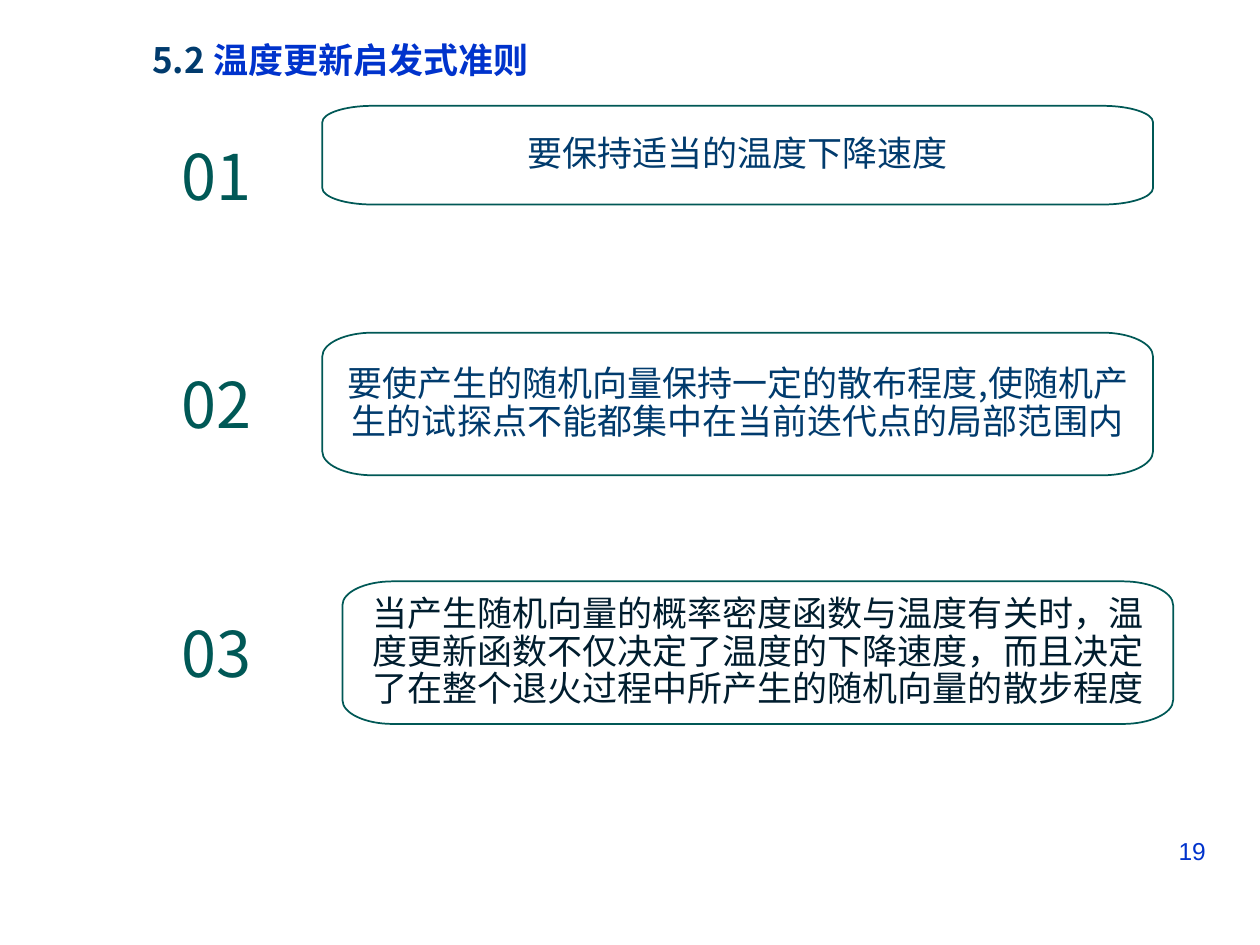
from lxml import etree
from pptx import Presentation
from pptx.dml.color import RGBColor
from pptx.enum.text import MSO_ANCHOR, PP_ALIGN
from pptx.oxml.ns import qn
from pptx.util import Pt

CENTER, RIGHT = PP_ALIGN.CENTER, PP_ALIGN.RIGHT
TOP, MIDDLE = MSO_ANCHOR.TOP, MSO_ANCHOR.MIDDLE

COLORS = {
    "navy": "013B6D",
    "ink": "001D2E",
    "blue": "0033CC",
    "teal": "005856",
    "white": "FFFFFF",
}
CJK, LATIN = "Noto Sans CJK SC", "Arial"

# Content
TITLE = [("5.2 ", "navy"), ("温度更新启发式准则", "blue")]
PAGE_NUMBER = [("19", "blue")]
# number, number top, rule text, colour, box left, box top, box height
RULES = [
    ("01", 74.9, "要保持适当的温度下降速度", "navy", 184.2, 60.5, 56.4),
    ("02", 205.2, "要使产生的随机向量保持一定的散布程度,使随机产生的试探点不能都集中在当前迭代点的局部范围内",
     "navy", 184.2, 190.1, 81.5),
    ("03", 347.8, "当产生随机向量的概率密度函数与温度有关时，温度更新函数不仅决定了温度的下降速度，而且决定了在整个退火过程中所产生的随机向量的散步程度",
     "ink", 195.7, 332.2, 81.5),
]

# Layout
NUMBER_LEFT, NUMBER_WIDTH, NUMBER_HEIGHT = 95.8, 55.4, 50.4
BOX_WIDTH, CORNER_WIDTH = 474.7, 28.8
ARC_PULL = 0.55  # share of the way to the corner for an elliptical arc


def rgb(name):
    return RGBColor.from_string(COLORS[name])


def write(shape, runs, size=20, font=CJK, bold=False, align=CENTER,
          anchor=TOP, margin=3.6, wrap=True, line_spacing=None, after=None):
    frame = shape.text_frame
    frame.word_wrap = wrap
    frame.vertical_anchor = anchor
    frame.margin_left = frame.margin_right = Pt(7.2)
    frame.margin_top = frame.margin_bottom = Pt(margin)
    paragraph = frame.paragraphs[0]
    paragraph.alignment = align
    if line_spacing:
        paragraph.line_spacing = line_spacing
    if after:
        paragraph.space_after = Pt(after)
    for text, color in runs:
        run = paragraph.add_run()
        run.text = text
        run.font.size = Pt(size)
        run.font.bold = bold
        run.font.name = font
        run.font.color.rgb = rgb(color)
        east_asian = etree.SubElement(run.font._element, qn("a:ea"))
        east_asian.set("typeface", font)


def add_text(slide, left, top, width, height, runs, **style):
    box = slide.shapes.add_textbox(Pt(left), Pt(top), Pt(width), Pt(height))
    write(box, runs, **style)


def add_rule_box(slide, left, top, width, height):
    """Box with elliptical corners, one sixth of its height tall."""
    w, h, rx, ry = Pt(width), Pt(height), Pt(CORNER_WIDTH), Pt(height / 6)
    outline = [(0, ry), (rx, 0), (w - rx, 0), (w, ry),
               (w, h - ry), (w - rx, h), (rx, h), (0, h - ry), (0, ry)]
    corners = [(0, 0), (w, 0), (w, h), (0, h)]
    builder = slide.shapes.build_freeform(*outline[0])
    builder.add_line_segments(outline[1:], close=True)
    box = builder.convert_to_shape(Pt(left), Pt(top))

    # Every other segment rounds a corner
    segments = list(box._element.iter(qn("a:lnTo")))
    for i, corner in enumerate(corners):
        segment = segments[2 * i]
        segment.tag = qn("a:cubicBezTo")
        for place, end in enumerate(outline[2 * i:2 * i + 2]):
            x, y = (round(e + ARC_PULL * (c - e)) for e, c in zip(end, corner))
            control = etree.Element(qn("a:pt"), x=str(x), y=str(y))
            segment.insert(place, control)

    box.shadow.inherit = False
    box.fill.solid()
    box.fill.fore_color.rgb = rgb("white")
    box.line.color.rgb = rgb("teal")
    box.line.width = Pt(1)
    return box


def main():
    deck = Presentation()
    deck.slide_width, deck.slide_height = Pt(720), Pt(540)
    slide = deck.slides.add_slide(deck.slide_layouts[6])

    # Heading and page number
    add_text(slide, 57.4, 18.7, 274.3, 31.7, TITLE, bold=True)
    add_text(slide, 516.2, 474, 180, 37.4, PAGE_NUMBER,
             size=14, font=LATIN, align=RIGHT)

    # Numbered rules
    for number, number_top, rule, color, left, top, height in RULES:
        add_text(slide, NUMBER_LEFT, number_top, NUMBER_WIDTH, NUMBER_HEIGHT,
                 [(number, "teal")], size=36, wrap=False)
        box = add_rule_box(slide, left, top, BOX_WIDTH, height)
        write(box, [(rule, color)], anchor=MIDDLE, margin=7.2,
              line_spacing=0.9, after=8.8)

    deck.save("out.pptx")


if __name__ == "__main__":
    main()
